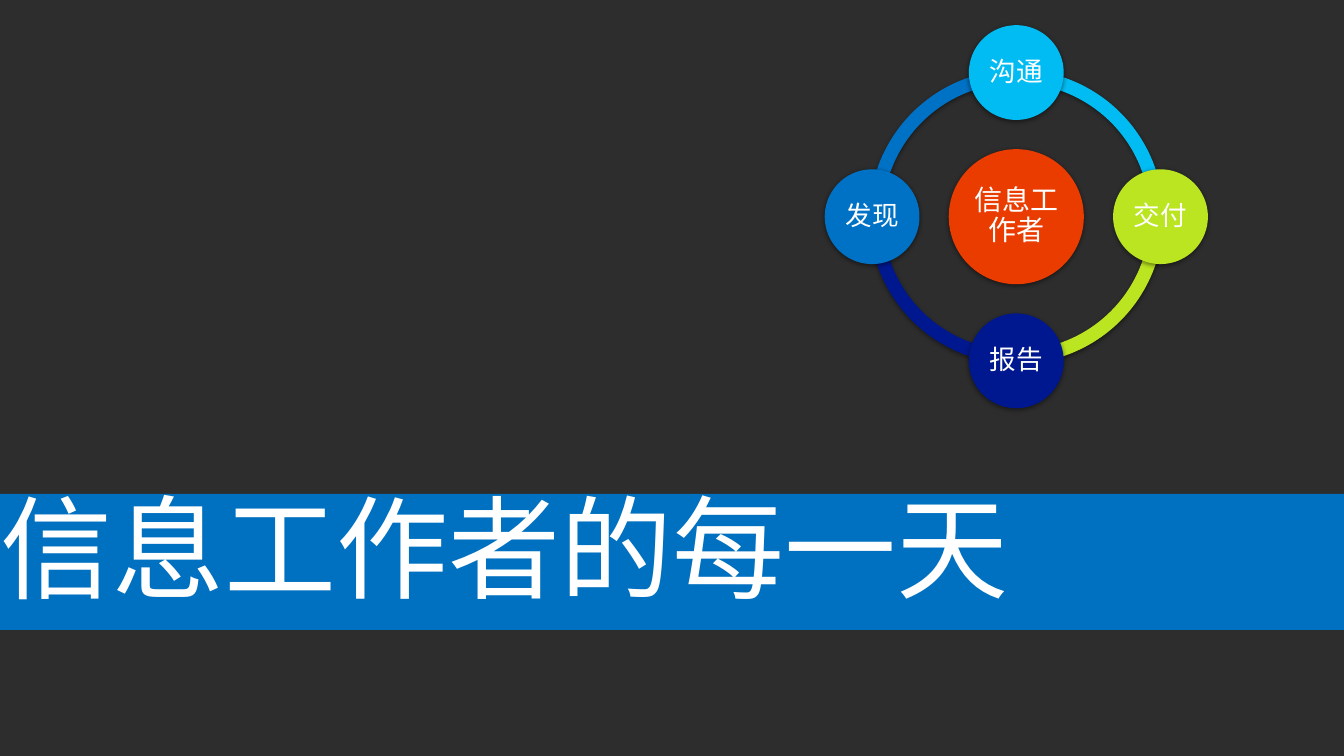
import math

from lxml import etree
from pptx import Presentation
from pptx import util as u
from pptx.dml.color import RGBColor
from pptx.enum import shapes, text
from pptx.oxml.ns import qn

FONT = "Noto Sans CJK SC"
COLORS = {
    "background": "2D2D2D",
    "band": "0070C0",
    "white": "FFFFFF",
    "black": "000000",
    "hub": "EB3C00",
    "discover": "0072C6",
    "report": "00188F",
    "deliver": "BAE520",
    "communicate": "00BCF2",
}
CENTER_X, CENTER_Y = 10.08, 2.15
ORBIT_RADIUS = 1.43
RING_SIZE = 2.92
HUB_SIZE = 1.34
NODE_SIZE = 0.94
NODES = [
    ("沟通", "communicate", 270),
    ("交付", "deliver", 0),
    ("报告", "report", 90),
    ("发现", "discover", 180),
]


def paint(fill, color):
    fill.solid()
    fill.fore_color.rgb = RGBColor.from_string(COLORS[color])


def add_run(paragraph, words, size):
    run = paragraph.add_run()
    run.text = words
    run.font.size = u.Pt(size)
    run.font.name = FONT
    run.font.color.rgb = RGBColor.from_string(COLORS["white"])
    etree.SubElement(run.font._element, qn("a:ea"), typeface=FONT)


def add_shadow(shape):
    shape.shadow.inherit = False
    effects = shape._element.spPr.find(qn("a:effectLst"))
    shadow = etree.SubElement(
        effects, qn("a:outerShdw"), blurRad=str(u.Pt(3.5)), dist=str(u.Pt(1.1)),
        dir="5400000", rotWithShape="0")
    color = etree.SubElement(shadow, qn("a:srgbClr"), val=COLORS["black"])
    etree.SubElement(color, qn("a:alpha"), val="45000")


def add_round(group, kind, x, y, size, color):
    shape = group.shapes.add_shape(
        kind, u.Inches(x - size / 2), u.Inches(y - size / 2),
        u.Inches(size), u.Inches(size))
    paint(shape.fill, color)
    shape.line.fill.background()
    add_shadow(shape)
    return shape


def add_arc(group, color, angle):
    arc = add_round(group, shapes.MSO_SHAPE.BLOCK_ARC,
                    CENTER_X, CENTER_Y, RING_SIZE, color)
    arc.adjustments[0] = angle * 0.6
    arc.adjustments[1] = (angle + 90) % 360 * 0.6
    arc.adjustments[2] = 0.046


def set_insets(frame, inset):
    frame.margin_left = frame.margin_right = u.Inches(inset)
    frame.margin_top = frame.margin_bottom = u.Inches(inset)


def add_circle(group, words, x, y, size, color, font_size):
    circle = add_round(group, shapes.MSO_SHAPE.OVAL, x, y, size, color)
    frame = circle.text_frame
    frame.word_wrap = True
    frame.vertical_anchor = text.MSO_ANCHOR.MIDDLE
    set_insets(frame, 0.03)
    paragraph = frame.paragraphs[0]
    paragraph.alignment = text.PP_ALIGN.CENTER
    paragraph.line_spacing = 0.9
    add_run(paragraph, words, font_size)


def add_title(slide, words):
    title = slide.shapes.title
    title.left, title.top = u.Inches(0), u.Inches(4.9)
    title.width, title.height = u.Inches(13.33), u.Inches(1.35)
    paint(title.fill, "band")
    frame = title.text_frame
    frame.word_wrap = True
    frame.auto_size = text.MSO_AUTO_SIZE.NONE
    frame.vertical_anchor = text.MSO_ANCHOR.TOP
    set_insets(frame, 0)
    paragraph = frame.paragraphs[0]
    paragraph.alignment = text.PP_ALIGN.LEFT
    paragraph.line_spacing = 0.9
    add_run(paragraph, words, 80)


def add_cycle(slide):
    group = slide.shapes.add_group_shape()
    for label, color, angle in reversed(NODES):
        add_arc(group, color, angle)
    add_circle(group, "信息工作者", CENTER_X, CENTER_Y, HUB_SIZE, "hub", 20)
    for label, color, angle in NODES:
        x = CENTER_X + ORBIT_RADIUS * math.cos(math.radians(angle))
        y = CENTER_Y + ORBIT_RADIUS * math.sin(math.radians(angle))
        add_circle(group, label, x, y, NODE_SIZE, color, 19)


def main():
    presentation = Presentation()
    presentation.slide_width = u.Inches(13.33)
    presentation.slide_height = u.Inches(7.5)
    slide = presentation.slides.add_slide(presentation.slide_layouts[5])
    paint(slide.background.fill, "background")
    add_title(slide, "信息工作者的每一天")
    add_cycle(slide)
    presentation.save("out.pptx")


if __name__ == "__main__":
    main()
